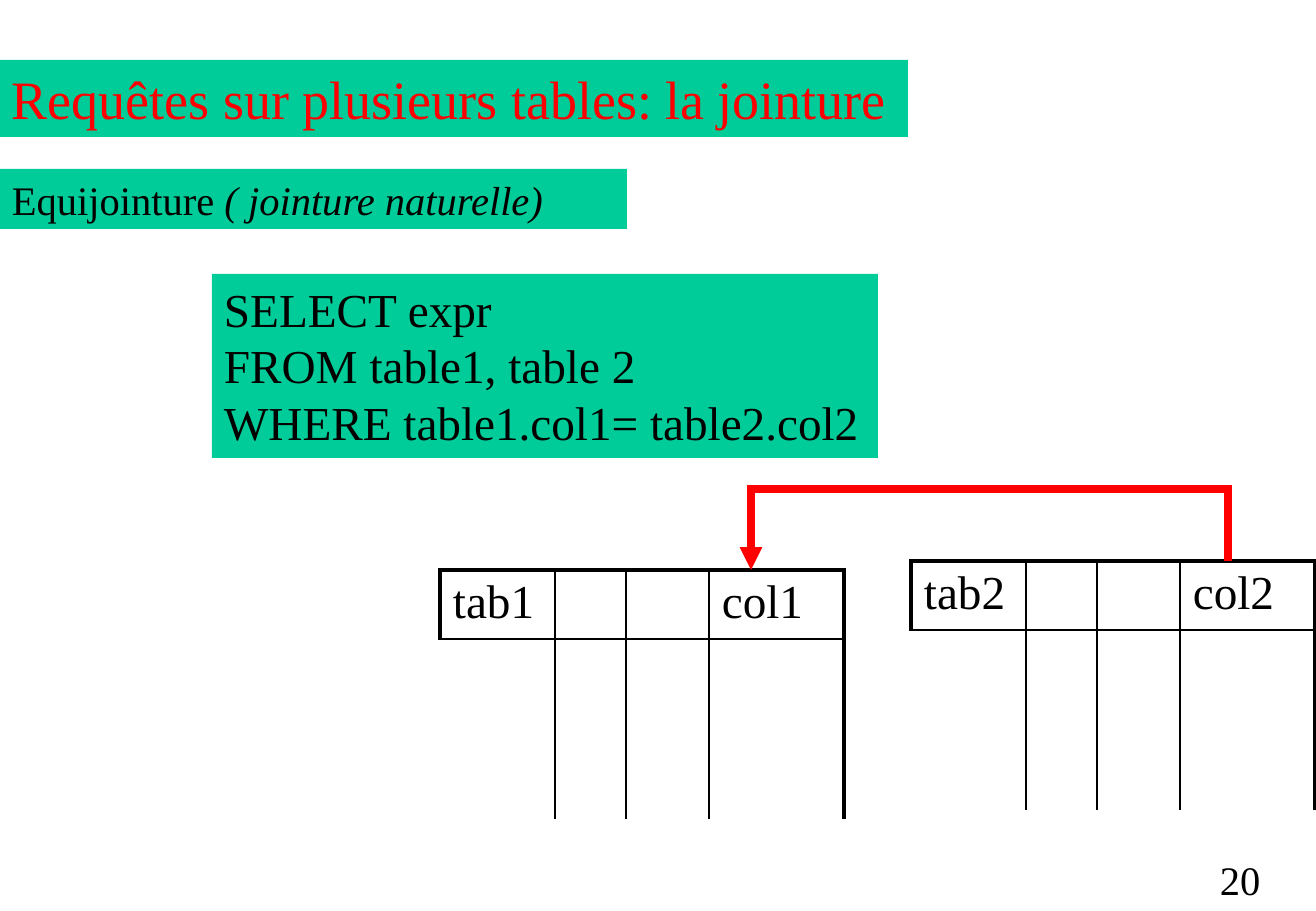
"""Slide on the SQL equijoin: a query and the two tables that it joins."""
from dataclasses import dataclass

from lxml.etree import SubElement
from pptx import Presentation
from pptx.dml.color import RGBColor as Rgb
from pptx.enum.shapes import MSO_CONNECTOR as Connector, MSO_SHAPE as Preset
from pptx.enum.text import MSO_ANCHOR as Anchor, PP_ALIGN as Align
from pptx.oxml.ns import qn
from pptx.util import Pt

EMU_PER_PX = 7526


@dataclass(frozen=True)
class Theme:
    font: str = "Times New Roman"
    ink: str = "000000"
    accent: str = "FF0000"
    panel: str = "00CC99"
    title: int = 32
    query: int = 28
    body: int = 24
    thin: float = 1
    thick: float = 2.25
    arrow: float = 4.5


def px(*lengths):
    return [round(length * EMU_PER_PX) for length in lengths]


def assign(target, **values):
    for name, value in values.items():
        setattr(target, name, value)


class JoinSlide:
    def __init__(self, deck, theme):
        self.theme = theme
        self.slide = deck.slides.add_slide(deck.slide_layouts[6])

    def fill_text(self, frame, lines, size, color=None):
        for index, runs in enumerate(lines):
            paragraph = frame.paragraphs[0] if index == 0 else frame.add_paragraph()
            paragraph.alignment = Align.LEFT
            for words, italic in runs:
                run = paragraph.add_run()
                run.text = words
                assign(run.font, name=self.theme.font, size=Pt(size), italic=italic)
                run.font.color.rgb = Rgb.from_string(color or self.theme.ink)

    def panel(self, box, lines, size, color=None, wrap=False):
        panel = self.slide.shapes.add_shape(Preset.RECTANGLE, *px(*box))
        panel.shadow.inherit = False
        panel.fill.solid()
        panel.fill.fore_color.rgb = Rgb.from_string(self.theme.panel)
        panel.line.fill.background()
        assign(panel.text_frame, word_wrap=wrap, vertical_anchor=Anchor.TOP)
        self.fill_text(panel.text_frame, lines, size, color)

    def label(self, box, words, size):
        frame = self.slide.shapes.add_textbox(*px(*box)).text_frame
        frame.word_wrap = True
        self.fill_text(frame, [[(words, False)]], size)

    def border(self, cell, edge, width):
        line = SubElement(cell._tc.get_or_add_tcPr(), qn(f"a:ln{edge}"), w=str(Pt(width)))
        if width:
            fill = SubElement(line, qn("a:solidFill"))
            SubElement(fill, qn("a:srgbClr"), val=self.theme.ink)
        else:
            SubElement(line, qn("a:noFill"))

    def table(self, left, top, columns, rows, headings):
        thin, thick = self.theme.thin, self.theme.thick
        box = px(left, top, sum(columns), sum(rows))
        table = self.slide.shapes.add_table(len(rows), len(columns), *box).table
        assign(table, first_row=False, horz_banding=False)
        for column, width in zip(table.columns, px(*columns)):
            column.width = width
        for row, height in zip(table.rows, px(*rows)):
            row.height = height
        for r in range(len(rows)):
            for c in range(len(columns)):
                cell = table.cell(r, c)
                side, end = px(13, 6)
                assign(cell, margin_left=side, margin_right=side,
                       margin_top=end, margin_bottom=end)
                header, last = r == 0, c == len(columns) - 1
                outer_left = thick if header else 0
                edges = {"L": thin if c else outer_left, "R": thick if last else thin,
                         "T": thick if header else thin, "B": thin if header else 0}
                for edge, width in edges.items():
                    self.border(cell, edge, width)
                cell.fill.background()
                if header and c in headings:
                    self.fill_text(cell.text_frame, [[(headings[c], False)]], self.theme.query)

    def join_arrow(self, start, end, rise):
        (x1, y1), (x2, y2) = start, end
        middle_x, middle_y = (x1 + x2) / 2, (y1 + y2) / 2
        drop, span = y2 - y1, x1 - x2
        arrow = self.slide.shapes.add_connector(
            Connector.ELBOW, *px(middle_x - drop / 2, middle_y - span / 2,
                                 middle_x + drop / 2, middle_y + span / 2))
        arrow.line.width = Pt(self.theme.arrow)
        arrow.line.color.rgb = Rgb.from_string(self.theme.accent)
        properties = arrow._element.spPr
        properties.find(qn("a:xfrm")).set("rot", "5400000")
        guides = properties.find(qn("a:prstGeom")).find(qn("a:avLst"))
        SubElement(guides, qn("a:gd"), name="adj1", fmla=f"val {-rise * 100000 // drop}")
        outline = properties.find(qn("a:ln"))
        SubElement(outline, qn("a:miter"), lim="800000")
        SubElement(outline, qn("a:tailEnd"), type="triangle")
        SubElement(properties, qn("a:effectLst"))


def main():
    deck = Presentation()
    deck.slide_width, deck.slide_height = px(1316, 911)
    theme = Theme()
    page = JoinSlide(deck, theme)
    page.panel((0, 169, 627, 60), [[("Equijointure ", False), ("( jointure naturelle)", True)]],
               theme.body, wrap=True)
    page.panel((0, 60, 908, 77), [[("Requêtes sur plusieurs tables: la jointure", False)]],
               theme.title, theme.accent)
    query = ["SELECT expr", "FROM table1, table 2", "WHERE table1.col1= table2.col2"]
    page.panel((212, 274, 666, 184), [[(line, False)] for line in query], theme.query)
    columns, rows = [115, 71, 83, 135], [69, 180]
    for number, (left, top) in enumerate([(440, 570), (911, 561)], 1):
        page.table(left, top, columns, rows, {0: f"tab{number}", 3: f"col{number}"})
    page.join_arrow((1228, 561), (751, 570), rise=72)
    page.label((1208, 849, 108, 62), "20", theme.body)
    deck.save("out.pptx")


if __name__ == "__main__":
    main()
